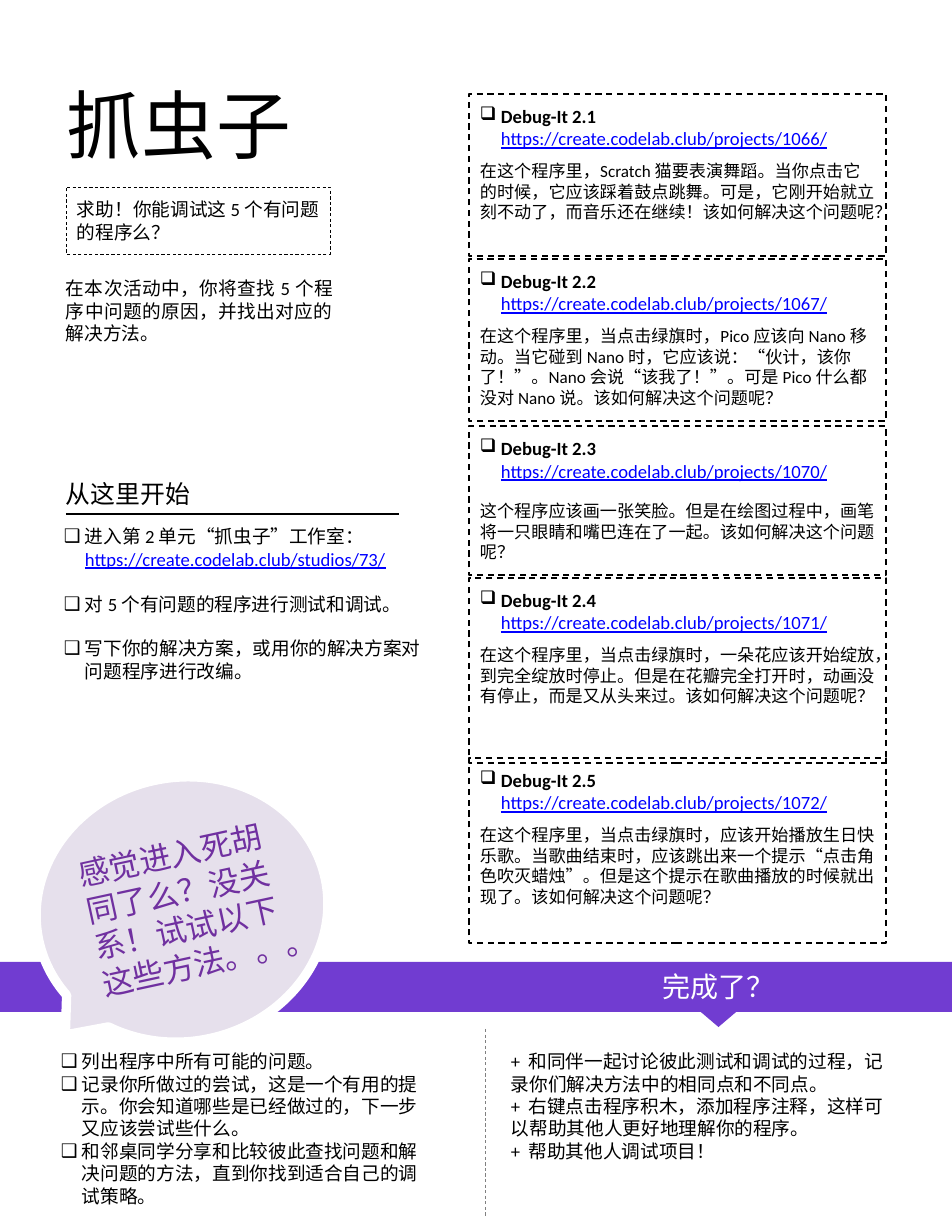
import pptx
import pptx.util
import pptx.dml.color
import pptx.enum.dml
import pptx.enum.shapes
import pptx.enum.text
from lxml import etree
from pptx.oxml.ns import qn

HUES = {
    "ink": "000000", "link": "0000FF", "rule": "808080", "band": "713CD1",
    "cloud": "E6E0EC", "plum": "7030A0", "white": "FFFFFF",
}
FONT = "Calibri"
SCALE = 914400 / 112
DASH = pptx.enum.dml.MSO_LINE.DASH
SHAPE = pptx.enum.shapes.MSO_SHAPE
ALIGN = pptx.enum.text.PP_ALIGN
ANCHOR = pptx.enum.text.MSO_ANCHOR

SITE = "https://create.codelab.club/"
BUGS = [  # top, height, gap above the story, project, story
    (94, 162, 7, 1066, "在这个程序里，Scratch 猫要表演舞蹈。当你点击它的时候，它应该踩着鼓点跳舞。可是，它刚开始就立刻不动了，而音乐还在继续！该如何解决这个问题呢？"),
    (259, 162, 7, 1067, "在这个程序里，当点击绿旗时，Pico 应该向 Nano 移动。当它碰到 Nano 时，它应该说：“伙计，该你了！”。Nano 会说“该我了！”。可是 Pico 什么都没对 Nano 说。该如何解决这个问题呢？"),
    (426, 149, 12, 1070, "这个程序应该画一张笑脸。但是在绘图过程中，画笔将一只眼睛和嘴巴连在了一起。该如何解决这个问题呢？"),
    (578, 185, 7, 1071, "在这个程序里，当点击绿旗时，一朵花应该开始绽放，到完全绽放时停止。但是在花瓣完全打开时，动画没有停止，而是又从头来过。该如何解决这个问题呢？"),
    (758, 185, 7, 1072, "在这个程序里，当点击绿旗时，应该开始播放生日快乐歌。当歌曲结束时，应该跳出来一个提示“点击角色吹灭蜡烛”。但是这个提示在歌曲播放的时候就出现了。该如何解决这个问题呢？"),
]
STEPS = [
    "对 5 个有问题的程序进行测试和调试。",
    "写下你的解决方案，或用你的解决方案对问题程序进行改编。",
]
TIPS = [
    "列出程序中所有可能的问题。",
    "记录你所做过的尝试，这是一个有用的提示。你会知道哪些是已经做过的，下一步又应该尝试些什么。",
    "和邻桌同学分享和比较彼此查找问题和解决问题的方法，直到你找到适合自己的调试策略。",
]
NEXT = [
    "+  和同伴一起讨论彼此测试和调试的过程，记录你们解决方法中的相同点和不同点。",
    "+  右键点击程序积木，添加程序注释，这样可以帮助其他人更好地理解你的程序。",
    "+  帮助其他人调试项目！",
]


def px(*nums):
    return [round(num * SCALE) for num in nums]


def hue(name):
    return pptx.dml.color.RGBColor.from_string(HUES[name])


def place(item, box):
    item.left, item.top, item.width, item.height = px(*box)
    return item


def frame(item, anchor=ANCHOR.TOP, pad=None):
    """Ready the text frame of an item: wrapped, fixed in size."""
    text = item.text_frame
    text.word_wrap = True
    text.auto_size = pptx.enum.text.MSO_AUTO_SIZE.NONE
    text.vertical_anchor = anchor
    side, edge = px(11, 6 if pad is None else pad)
    text.margin_left = text.margin_right = side
    text.margin_top = text.margin_bottom = edge
    return text


def para(text, runs, size=12, font=FONT, align=ALIGN.LEFT, bullet=False, gap=0):
    """Add a paragraph; each run is (words, colour, bold)."""
    first = text.paragraphs[0]
    line = text.add_paragraph() if first.runs else first
    props = line._p.get_or_add_pPr()
    hang = px(21)[0] if bullet else 0
    props.set("marL", str(hang))
    props.set("indent", str(-hang))
    if bullet:
        etree.SubElement(props, qn("a:buChar")).set("char", "❑")
    else:
        etree.SubElement(props, qn("a:buNone"))
    line.alignment = align
    line.space_before = pptx.util.Pt(gap)
    for words, tint, bold in runs:
        run = line.add_run()
        run.text = words
        run.font.size = pptx.util.Pt(size)
        run.font.name = font
        run.font.bold = bold
        run.font.underline = tint == "link"
        run.font.color.rgb = hue(tint)


def plain(words, tint="ink"):
    return [(words, tint, False)]


def stroke(line, tint, width, dash=None):
    line.color.rgb = hue(tint)
    line.width = pptx.util.Pt(width)
    if dash:
        line.dash_style = dash


def shape(slide, kind, box, fill=None):
    item = slide.shapes.add_shape(kind, *px(*box))
    item.shadow.inherit = False
    if fill:
        item.fill.solid()
        item.fill.fore_color.rgb = hue(fill)
    else:
        item.fill.background()
    item.line.fill.background()
    return item


def rule(slide, ends, tint, width, dash=None):
    item = slide.shapes.add_connector(
        pptx.enum.shapes.MSO_CONNECTOR.STRAIGHT, *px(*ends))
    stroke(item.line, tint, width, dash)
    etree.SubElement(item._element.spPr, qn("a:effectLst"))


def label(slide, box, words, **style):
    para(frame(slide.shapes.add_textbox(*px(*box))), plain(words), **style)


def intro(slide, x, y, w):
    title = place(slide.shapes.title, (x, y, 345, 102))
    para(frame(title), plain("抓虫子"), 48, "Roboto Condensed")
    call = shape(slide, SHAPE.RECTANGLE, (x + 10, y + 114, w - 25, 67))
    stroke(call.line, "ink", 0.5, DASH)
    para(frame(call, ANCHOR.MIDDLE, 11),
         plain("求助！你能调试这 5 个有问题的程序么？"), align=ALIGN.JUSTIFY)
    label(slide, (x - 1, y + 198, w, 80),
          "在本次活动中，你将查找 5 个程序中问题的原因，并找出对应的解决方法。",
          align=ALIGN.JUSTIFY)


def start(slide, head, body, x, y, w):
    para(frame(place(head, (x + 2, y, w - 17, 41))), plain("从这里开始"), 16)
    rule(slide, (x + 13, y + 41, x + 346, y + 41), "ink", 0.75)
    text = frame(place(body, (x, y + 46, w, 169)))
    para(text, [("进入第 2 单元“抓虫子”工作室： ", "ink", False),
                (SITE + "studios/73/", "link", False)], bullet=True)
    for step in STEPS:
        para(text, plain(step), bullet=True, gap=14.5)


def bugs(slide, x, w):
    for num, (y, h, gap, code, story) in enumerate(BUGS, 1):
        card = shape(slide, SHAPE.RECTANGLE, (x, y, w, h))
        stroke(card.line, "ink", 1, DASH)
        text = frame(card, pad=11)
        para(text, [(f"Debug-It 2.{num} ", "ink", True),
                    (f"{SITE}projects/{code}/", "link", False)], bullet=True)
        para(text, plain(story), 11, gap=gap)


def band(slide, y, w, h):
    shape(slide, SHAPE.RECTANGLE, (0, y, w, h), "band")
    cloud = shape(slide, SHAPE.OVAL_CALLOUT, (50, y - 199, 264, 293), "cloud")
    stroke(cloud.line, "white", 6)
    cloud.adjustments[0], cloud.adjustments[1] = -0.37, 0.48
    cloud.rotation = 257.7
    cloud._element.spPr.xfrm.set("flipV", "1")
    text = frame(cloud, ANCHOR.MIDDLE)
    text._txBody.bodyPr.set("vert", "vert270")
    para(text, plain("感觉进入死胡同了么？没关系！试试以下这些方法。。。", "plum"),
         20, align=ALIGN.CENTER)
    shape(slide, SHAPE.DIAMOND, (695, y + 25, 47, 40), "band")
    done = slide.shapes.add_textbox(*px(485, y + 2, 467, 45))
    para(frame(done), plain("完成了？", "white"), 18, align=ALIGN.CENTER)


def notes(item, box, lines, bullet):
    text = frame(place(item, box))
    for words in lines:
        para(text, plain(words), bullet=bullet)


def main():
    deck = pptx.Presentation()
    deck.slide_width, deck.slide_height = px(952, 1232)
    slide = deck.slides.add_slide(deck.slide_layouts.get_by_name("Comparison"))
    head, steps, after, tips = list(slide.placeholders)[1:]
    intro(slide, 56, 73, 289)
    start(slide, head, steps, 53, 473, 379)
    bugs(slide, 469, 417)
    notes(tips, (50, 1044, 395, 169), TIPS, True)
    notes(after, (500, 1044, 405, 124), NEXT, False)
    rule(slide, (485, 1029, 485, 1216), "rule", 0.5, DASH)
    band(slide, 962, 952, 50)
    deck.save("out.pptx")


if __name__ == "__main__":
    main()
